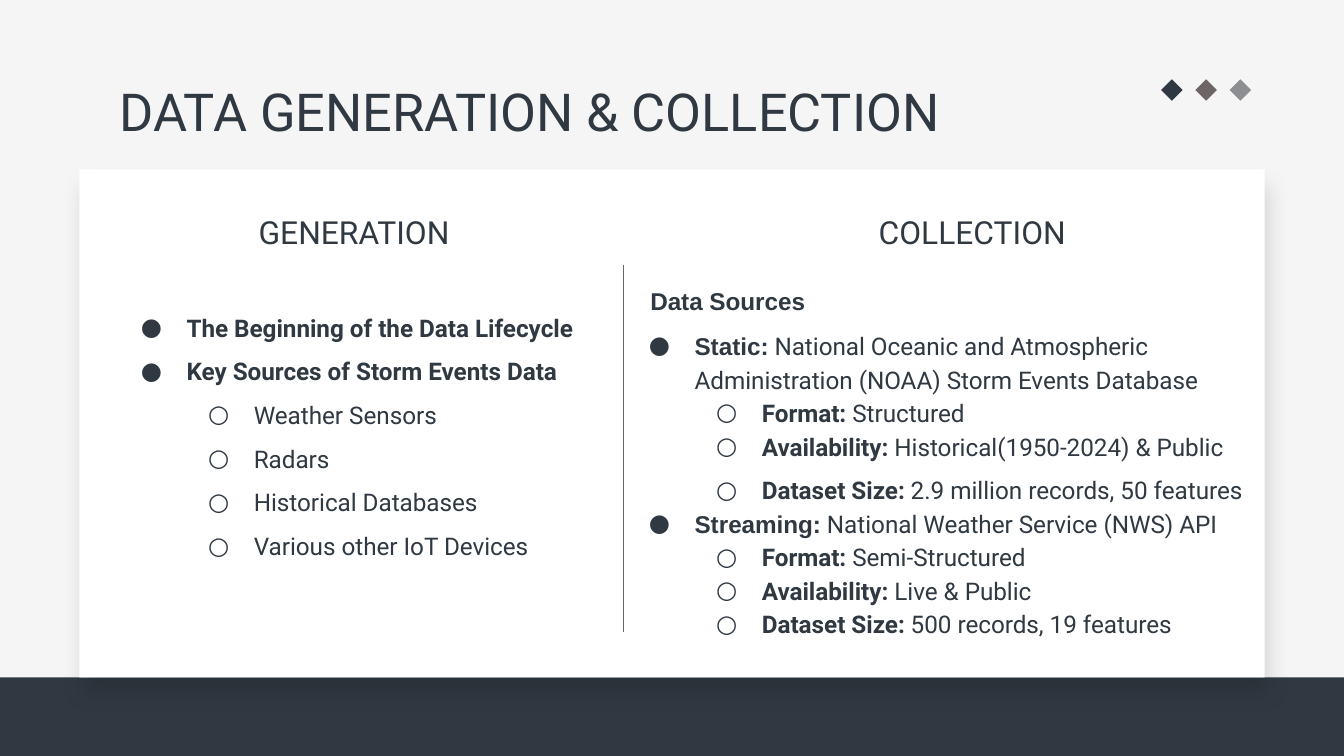
from lxml.etree import SubElement
from pptx import Presentation
from pptx.dml.color import RGBColor
from pptx.enum.shapes import MSO_CONNECTOR, MSO_SHAPE
from pptx.enum.text import MSO_ANCHOR, PP_ALIGN
from pptx.oxml.ns import qn
from pptx.util import Pt

EMU_PER_PX = 9144  # 100 px to the inch
COLORS = {
    "page": "F5F5F5",
    "card": "FFFFFF",
    "ink": "303942",
    "brown": "6C6465",
    "gray": "8D8E92",
    "shadow": "000000",
}
BULLETS = {0: "●", 1: "○"}


def px(value):
    return round(value * EMU_PER_PX)


def rgb(name):
    return RGBColor.from_string(COLORS[name])


def add_run(paragraph, text, *, size, font="Roboto", color="ink", bold=False):
    run = paragraph.add_run()
    run.text = text
    run.font.size = Pt(size)
    run.font.name = font
    run.font.bold = bold
    run.font.color.rgb = rgb(color)


def set_indent(paragraph, left, first=0, bullet=None):
    properties = paragraph._p.get_or_add_pPr()
    properties.set("marL", str(px(left)))
    properties.set("indent", str(px(first)))
    if bullet:
        color = SubElement(properties, qn("a:buClr"))
        SubElement(color, qn("a:srgbClr"), val=COLORS["ink"])
        SubElement(properties, qn("a:buFont"), typeface="Roboto")
        SubElement(properties, qn("a:buChar"), char=bullet)


class SlideBuilder:
    def __init__(self, presentation):
        self.slide = presentation.slides.add_slide(presentation.slide_layouts[6])
        self.body_size = 13
        self.inset = px(10)
        self.slide.background.fill.solid()
        self.slide.background.fill.fore_color.rgb = rgb("page")

    def shape(self, kind, left, top, width, height, color):
        shape = self.slide.shapes.add_shape(
            kind, px(left), px(top), px(width), px(height))
        shape.shadow.inherit = False
        shape.fill.solid()
        shape.fill.fore_color.rgb = rgb(color)
        shape.line.fill.background()
        return shape

    def card(self, left, top, width, height):
        card = self.shape(MSO_SHAPE.RECTANGLE, left, top, width, height, "card")
        effects = card._element.spPr.find(qn("a:effectLst"))
        shadow = SubElement(
            effects, qn("a:outerShdw"), blurRad=str(Pt(12.4)), dist=str(Pt(9)),
            dir=str(76 * 60000), algn="bl", rotWithShape="0")
        color = SubElement(shadow, qn("a:srgbClr"), val=COLORS["shadow"])
        SubElement(color, qn("a:alpha"), val="13000")

    def divider(self, x, top, bottom):
        line = self.slide.shapes.add_connector(
            MSO_CONNECTOR.STRAIGHT, px(x), px(top), px(x), px(bottom))
        line.line.color.rgb = rgb("brown")
        line.line.width = Pt(0.75)
        SubElement(line._element.spPr, qn("a:effectLst"))

    def text_frame(self, left, top, width, height, anchor=MSO_ANCHOR.TOP):
        box = self.slide.shapes.add_textbox(
            px(left), px(top), px(width), px(height))
        frame = box.text_frame
        frame.word_wrap = True
        frame.vertical_anchor = anchor
        frame.margin_left = frame.margin_right = self.inset
        frame.margin_top = frame.margin_bottom = self.inset
        return frame

    def heading(self, text, left, top, width, height, size,
                align=PP_ALIGN.LEFT, anchor=MSO_ANCHOR.TOP):
        frame = self.text_frame(left, top, width, height, anchor)
        paragraph = frame.paragraphs[0]
        paragraph.alignment = align
        add_run(paragraph, text, size=size)

    def outline(self, frame, items):
        """Each item: level (None for a lead line), bold text, plain text, format."""
        for index, (level, label, detail, style) in enumerate(items):
            paragraph = frame.add_paragraph() if index else frame.paragraphs[0]
            if level is None:
                set_indent(paragraph, 17)
            else:
                paragraph.level = level
                set_indent(paragraph, 50 + 50 * level, -34, BULLETS[level])
            paragraph.line_spacing = style.get("spacing", 1.15)
            paragraph.space_before = Pt(style.get("before", 0))
            if label:
                add_run(paragraph, label, size=self.body_size, bold=True,
                        font=style.get("font", "Roboto"))
            if detail:
                add_run(paragraph, detail, size=self.body_size)


def main():
    presentation = Presentation()
    presentation.slide_width = px(1000)
    presentation.slide_height = px(562.5)
    builder = SlideBuilder(presentation)

    # Bottom band and white card
    band = builder.shape(
        MSO_SHAPE.SNIP_2_DIAG_RECTANGLE, -3, 504, 1009, 63, "ink")
    for index in range(len(band.adjustments)):
        band.adjustments[index] = 0
    builder.card(59, 126, 882, 378)

    # Title and diamonds
    builder.heading("DATA GENERATION & COLLECTION", 79, 49, 843, 63, 28)
    for index, color in enumerate(("ink", "brown", "gray")):
        builder.shape(MSO_SHAPE.DIAMOND, 864 + 25.5 * index, 59, 16, 16, color)

    # Column headings and divider
    builder.divider(464, 197, 470)
    for text, left in (("GENERATION", 138), ("COLLECTION", 598)):
        builder.heading(text, left, 144, 251, 57, 17,
                        PP_ALIGN.CENTER, MSO_ANCHOR.MIDDLE)

    # Collection column
    arial = {"font": "Arial"}
    builder.outline(builder.text_frame(457, 200, 481, 322), [
        (None, "Data Sources", "", arial),
        (0, "Static:", " National Oceanic and Atmospheric Administration"
                       " (NOAA) Storm Events Database", {**arial, "before": 6}),
        (1, "Format:", " Structured", {}),
        (1, "Availability:", " Historical(1950-2024) & Public", {}),
        (1, "Dataset Size:", " 2.9 million records, 50 features",
         {"spacing": 1.5}),
        (0, "Streaming:", " National Weather Service (NWS) API", arial),
        (1, "Format:", " Semi-Structured", {}),
        (1, "Availability:", " Live & Public", {}),
        (1, "Dataset Size:", " 500 records, 19 features", {}),
    ])

    # Generation column
    topics = ("The Beginning of the Data Lifecycle",
              "Key Sources of Storm Events Data")
    sources = ("Weather Sensors", "Radars", "Historical Databases",
               "Various other IoT Devices")
    wide = {"spacing": 1.5}
    builder.outline(
        builder.text_frame(79, 212, 393, 243),
        [(0, topic, "", wide) for topic in topics]
        + [(1, "", source, wide) for source in sources])

    presentation.save("out.pptx")


if __name__ == "__main__":
    main()
